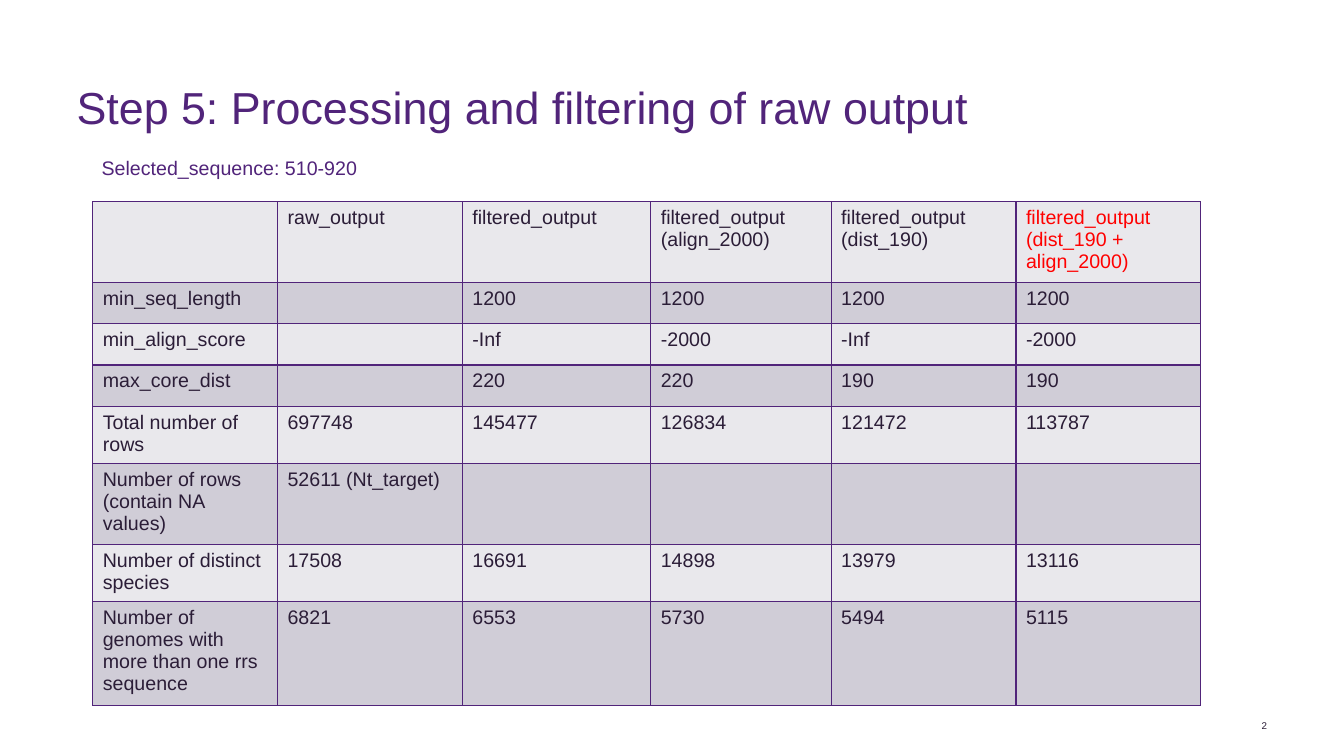
from lxml.etree import SubElement
from pptx import Presentation
from pptx.dml.color import RGBColor
from pptx.enum.text import MSO_ANCHOR as Anchor, PP_ALIGN as Align
from pptx.oxml.ns import qn
from pptx.util import Pt

PURPLE = RGBColor(0x51, 0x24, 0x7A)
INK = RGBColor(0x2B, 0x1D, 0x37)
RED = RGBColor(0xFF, 0x00, 0x00)
LIGHT_BAND = RGBColor(0xE9, 0xE8, 0xEC)
DARK_BAND = RGBColor(0xD0, 0xCD, 0xD7)

COLUMN_WIDTHS = [132, 132, 134.64, 128.88, 132, 132]
ROW_HEIGHT = 29.52
RESULTS = [
    ["", "raw_output", "filtered_output", "filtered_output (align_2000)",
     "filtered_output (dist_190)", "filtered_output (dist_190 + align_2000)"],
    ["min_seq_length", "", "1200", "1200", "1200", "1200"],
    ["min_align_score", "", "-Inf", "-2000", "-Inf", "-2000"],
    ["max_core_dist", "", "220", "220", "190", "190"],
    ["Total number of rows", "697748", "145477", "126834", "121472", "113787"],
    ["Number of rows (contain NA values)", "52611 (Nt_target)", "", "", "", ""],
    ["Number of distinct species", "17508", "16691", "14898", "13979", "13116"],
    ["Number of genomes with more than one rrs sequence",
     "6821", "6553", "5730", "5494", "5115"],
]


def set_all(target, values):
    for name, value in values.items():
        setattr(target, name, value)


def write(frame, text, size, color, frame_format=None, paragraph_format=None):
    set_all(frame, {"word_wrap": True, **(frame_format or {})})
    paragraph = frame.paragraphs[0]
    set_all(paragraph, paragraph_format or {})
    run = paragraph.add_run()
    run.text = text
    set_all(run.font, {"name": "Arial", "size": Pt(size), "bold": False})
    run.font.color.rgb = color


def no_margins():
    sides = ("left", "top", "right", "bottom")
    return {f"margin_{side}": 0 for side in sides}


def add_title(slide, left, top, width, height):
    title = slide.shapes.title
    set_all(title, {"left": Pt(left), "top": Pt(top),
                    "width": Pt(width), "height": Pt(height)})
    write(title.text_frame, "Step 5: Processing and filtering of raw output",
          32, PURPLE, {**no_margins(), "vertical_anchor": Anchor.MIDDLE},
          {"alignment": Align.LEFT, "line_spacing": 0.9})


def add_label(slide, box, text, size, color, **formats):
    label = slide.shapes.add_textbox(*map(Pt, box))
    write(label.text_frame, text, size, color, **formats)


def outline_cell(cell):
    properties = cell._tc.get_or_add_tcPr()
    for side in ("lnL", "lnR", "lnT", "lnB"):
        line = SubElement(properties, qn(f"a:{side}"), w=str(Pt(1)))
        fill = SubElement(line, qn("a:solidFill"))
        SubElement(fill, qn("a:srgbClr"), val=str(PURPLE))


def add_results_table(slide, left, top):
    rows, columns = len(RESULTS), len(COLUMN_WIDTHS)
    table = slide.shapes.add_table(
        rows, columns, Pt(left), Pt(top),
        Pt(sum(COLUMN_WIDTHS)), Pt(rows * ROW_HEIGHT)).table
    for column, width in zip(table.columns, COLUMN_WIDTHS):
        column.width = Pt(width)
    for r, values in enumerate(RESULTS):
        table.rows[r].height = Pt(ROW_HEIGHT)
        for c, value in enumerate(values):
            cell = table.cell(r, c)
            outline_cell(cell)
            cell.fill.solid()
            cell.fill.fore_color.rgb = DARK_BAND if r % 2 else LIGHT_BAND
            if value:
                # The chosen filter combination stands out in the header
                chosen = r == 0 and c == columns - 1
                write(cell.text_frame, value, 14, RED if chosen else INK)


def main():
    deck = Presentation()
    set_all(deck, {"slide_width": Pt(960), "slide_height": Pt(540)})
    slide = deck.slides.add_slide(deck.slide_layouts[5])

    # Heading and selected sequence
    add_title(slide, 54.72, 60.48, 753.84, 36.72)
    add_label(slide, (65.52, 108, 207.36, 24.48),
              "Selected_sequence: 510-920", 14, PURPLE)

    # Filtering results
    add_results_table(slide, 66.24, 144)

    # Page number
    add_label(slide, (882.72, 514.08, 22.32, 8.64), "2", 7, INK,
              frame_format={**no_margins(), "vertical_anchor": Anchor.MIDDLE},
              paragraph_format={"alignment": Align.RIGHT})

    deck.save("out.pptx")


if __name__ == "__main__":
    main()
